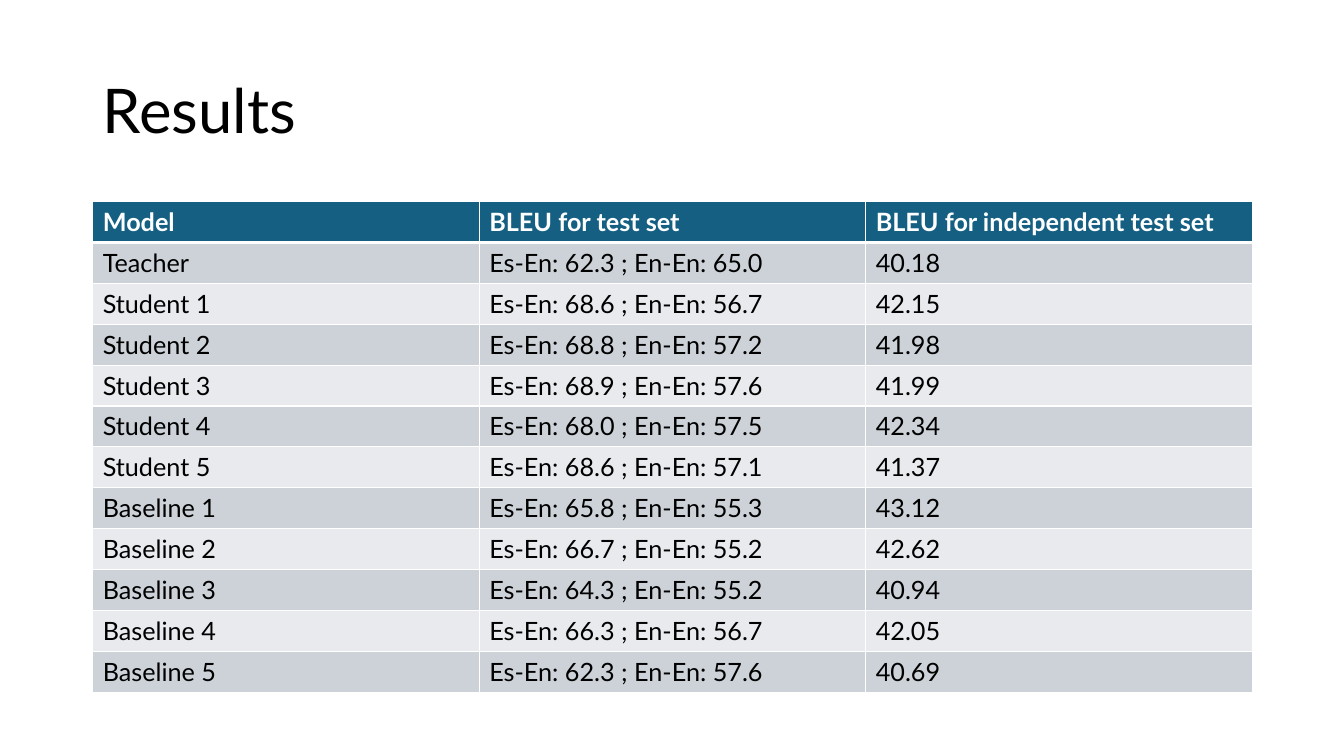
import pptx
import pptx.dml.color
import pptx.enum.text
import pptx.oxml.ns
import pptx.util
from dataclasses import dataclass
from lxml import etree

# Content
TITLE = "Results"
HEADER = ("Model", "BLEU for test set", "BLEU for independent test set")
RESULTS = [  # model, Es-En, En-En, independent test set
    ("Teacher", "62.3", "65.0", "40.18"),
    ("Student 1", "68.6", "56.7", "42.15"),
    ("Student 2", "68.8", "57.2", "41.98"),
    ("Student 3", "68.9", "57.6", "41.99"),
    ("Student 4", "68.0", "57.5", "42.34"),
    ("Student 5", "68.6", "57.1", "41.37"),
    ("Baseline 1", "65.8", "55.3", "43.12"),
    ("Baseline 2", "66.7", "55.2", "42.62"),
    ("Baseline 3", "64.3", "55.2", "40.94"),
    ("Baseline 4", "66.3", "56.7", "42.05"),
    ("Baseline 5", "62.3", "57.6", "40.69"),
]


# Theme
@dataclass(frozen=True)
class Theme:
    font: str = "Lato"
    title_size: int = 44
    cell_size: int = 18
    text: str = "000000"
    header_text: str = "FFFFFF"
    header_fill: str = "156082"
    bands: tuple = ("CCD2D8", "E8EAED")
    border: str = "FFFFFF"
    thin: int = 1
    thick: int = 3


THEME = Theme()

# Layout
WIDTH, HEIGHT = pptx.util.Inches(13.33), pptx.util.Inches(7.5)
LEFT, CONTENT_WIDTH = pptx.util.Inches(0.92), pptx.util.Inches(11.5)
TITLE_TOP, TITLE_HEIGHT = pptx.util.Inches(0.4), pptx.util.Inches(1.45)
TABLE_TOP, TABLE_HEIGHT = pptx.util.Inches(2), pptx.util.Inches(4.87)


def write_text(frame, text, *, size, color, bold=False, line_spacing=None):
    paragraph = frame.paragraphs[0]
    paragraph.line_spacing = line_spacing
    run = paragraph.add_run()
    run.text = text
    run.font.name = THEME.font
    run.font.size = pptx.util.Pt(size)
    run.font.bold = bold
    run.font.color.rgb = pptx.dml.color.RGBColor.from_string(color)


def set_borders(cell, top, bottom):
    properties = cell._tc.get_or_add_tcPr()
    qn = pptx.oxml.ns.qn
    widths = {"a:lnL": THEME.thin, "a:lnR": THEME.thin, "a:lnT": top, "a:lnB": bottom}
    for tag, width in widths.items():
        line = etree.SubElement(properties, qn(tag), w=str(pptx.util.Pt(width)))
        fill = etree.SubElement(line, qn("a:solidFill"))
        etree.SubElement(fill, qn("a:srgbClr"), val=THEME.border)


def add_title(slide):
    box = slide.shapes.add_textbox(LEFT, TITLE_TOP, CONTENT_WIDTH, TITLE_HEIGHT)
    box.text_frame.word_wrap = True
    box.text_frame.vertical_anchor = pptx.enum.text.MSO_ANCHOR.MIDDLE
    write_text(box.text_frame, TITLE, size=THEME.title_size, color=THEME.text,
               line_spacing=0.9)


def add_results_table(slide):
    rows = [HEADER] + [
        (model, f"Es-En: {es_en} ; En-En: {en_en}", independent)
        for model, es_en, en_en, independent in RESULTS
    ]
    table = slide.shapes.add_table(len(rows), len(HEADER), LEFT, TABLE_TOP,
                                   CONTENT_WIDTH, TABLE_HEIGHT).table
    for row_index, row in enumerate(rows):
        is_header = row_index == 0
        fill = THEME.header_fill if is_header else THEME.bands[(row_index - 1) % 2]
        for column_index, text in enumerate(row):
            cell = table.cell(row_index, column_index)
            set_borders(cell,
                        top=THEME.thick if row_index == 1 else THEME.thin,
                        bottom=THEME.thick if is_header else THEME.thin)
            cell.fill.solid()
            cell.fill.fore_color.rgb = pptx.dml.color.RGBColor.from_string(fill)
            write_text(cell.text_frame, text, size=THEME.cell_size, bold=is_header,
                       color=THEME.header_text if is_header else THEME.text)


def main():
    presentation = pptx.Presentation()
    presentation.slide_width, presentation.slide_height = WIDTH, HEIGHT
    slide = presentation.slides.add_slide(presentation.slide_layouts[6])
    add_title(slide)
    add_results_table(slide)
    presentation.save("out.pptx")


if __name__ == "__main__":
    main()
